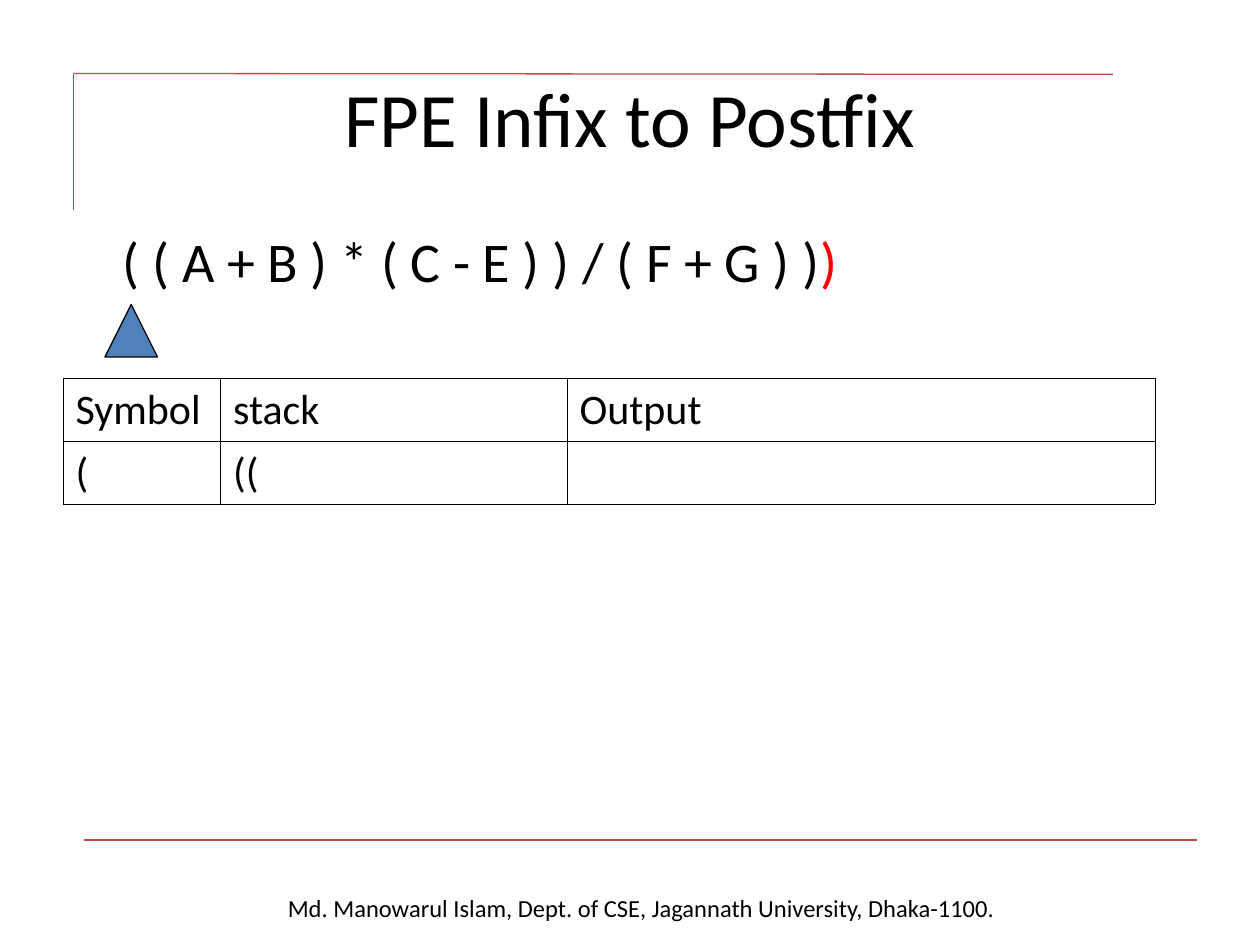
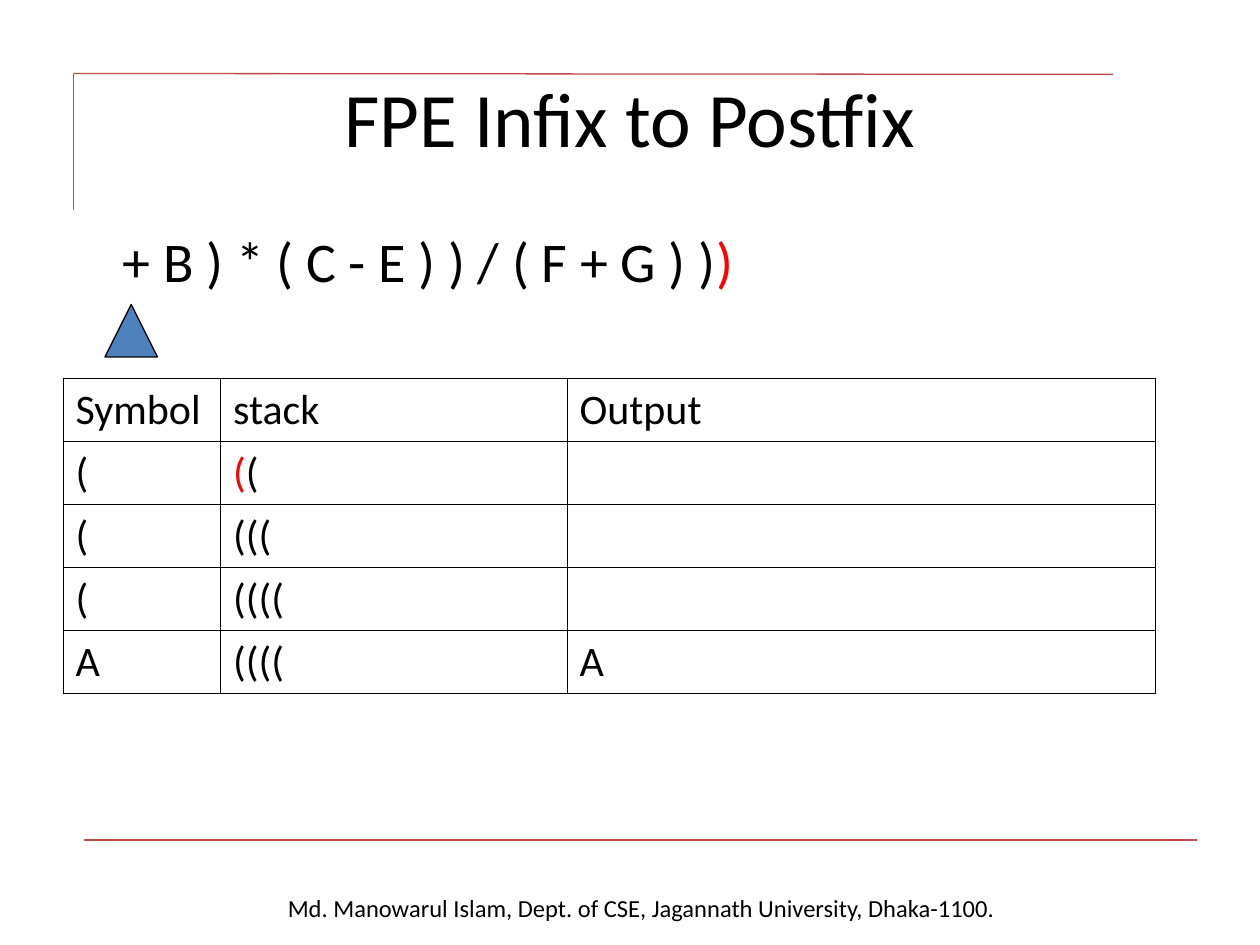
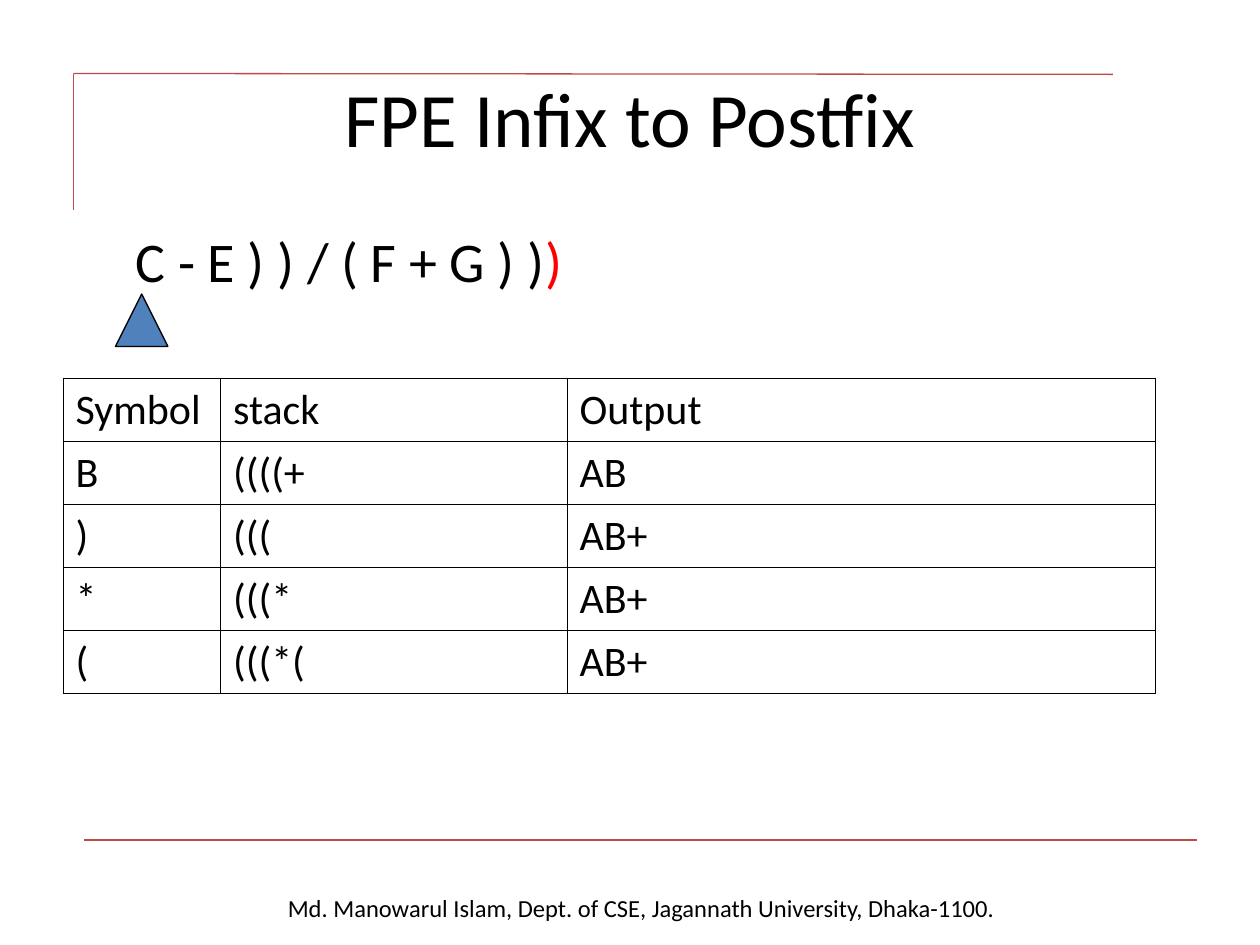
"""Build three slides that trace an infix to postfix conversion."""
from dataclasses import dataclass

from lxml import etree
from pptx import Presentation
from pptx.dml.color import RGBColor
from pptx.enum.shapes import MSO_CONNECTOR, MSO_SHAPE
from pptx.enum.text import MSO_ANCHOR, MSO_AUTO_SIZE, PP_ALIGN
from pptx.oxml.ns import qn
from pptx.util import Pt

STRAIGHT = MSO_CONNECTOR.STRAIGHT
TRIANGLE = MSO_SHAPE.ISOSCELES_TRIANGLE
MIDDLE, TOP = MSO_ANCHOR.MIDDLE, MSO_ANCHOR.TOP
CENTER = PP_ALIGN.CENTER
GROW = MSO_AUTO_SIZE.SHAPE_TO_FIT_TEXT


@dataclass(frozen=True)
class Theme:
    font: str = "Calibri"
    ink: str = "000000"
    accent: str = "FF0000"
    rule: str = "BE4B48"
    marker: str = "4F81BD"
    title: float = 44
    expression: float = 32
    cell: float = 24
    footer: float = 14
    line: float = 0.75
    border: float = 0.45


THEME = Theme()

TITLE = "FPE Infix to Postfix"
FOOTER = "Md. Manowarul Islam, Dept. of CSE, Jagannath University, Dhaka-1100."
HEADER = ("Symbol", "stack", "Output")
END_MARK = (")", THEME.accent)

STEPS = [
    {
        "expression": "( ( A + B ) * ( C - E ) ) / ( F + G ) )",
        "marker": (60, 174),
        "rows": [("(", "((", "")],
    },
    {
        "expression": "+ B ) * ( C - E ) ) / ( F + G ) )",
        "marker": (60, 174),
        "rows": [
            ("(", [("(", THEME.accent), ("(", THEME.ink)], ""),
            ("(", "(((", ""),
            ("(", "((((", ""),
            ("A", "((((", "A"),
        ],
    },
    {
        "expression": " C - E ) ) / ( F + G ) )",
        "marker": (66, 168),
        "rows": [
            ("B", "((((+", "AB"),
            (")", "(((", "AB+"),
            ("*", "(((*", "AB+"),
            ("(", "(((*(", "AB+"),
        ],
    },
]

SLIDE_SIZE = (720, 540)
TITLE_BOX = (36, 21.6, 648, 90)
BODY_BOX = (36, 126, 648, 356.4)
FOOTER_BOX = (27.5, 507, 678, 24.5)
RULES = [(42, 42.5, 42, 120), (42, 42, 636, 42.5), (48, 480, 684, 480)]
MARKER_SIZE = 30
BODY_INDENT = 27
TABLE_AT = (36, 216)
COLUMNS = (90, 198, 336)
ROW_HEIGHT = 36


def points(values):
    return [Pt(v) for v in values]


def place(shape, box):
    shape.left, shape.top, shape.width, shape.height = points(box)


def add_runs(p, content, size):
    runs = [(content, THEME.ink)] if isinstance(content, str) else content
    for text, color in runs:
        r = p.add_run()
        r.text = text
        r.font.name = THEME.font
        r.font.size = Pt(size)
        r.font.color.rgb = RGBColor.from_string(color)


def add_frame(s):
    for ends in RULES:
        rule = s.shapes.add_connector(STRAIGHT, *points(ends))
        rule.line.color.rgb = RGBColor.from_string(THEME.rule)
        rule.line.width = Pt(THEME.line)
        etree.SubElement(rule._element.spPr, qn("a:effectLst"))
    tf = s.shapes.add_textbox(*points(FOOTER_BOX)).text_frame
    tf.word_wrap = True
    tf.auto_size = GROW
    tf.paragraphs[0].alignment = CENTER
    add_runs(tf.paragraphs[0], FOOTER, THEME.footer)


def fill_title(s):
    title = s.shapes.title
    place(title, TITLE_BOX)
    tf = title.text_frame
    tf.vertical_anchor = MIDDLE
    tf.paragraphs[0].alignment = CENTER
    add_runs(tf.paragraphs[0], TITLE, THEME.title)


def fill_expression(s, expression):
    body = s.placeholders[1]
    place(body, BODY_BOX)
    tf = body.text_frame
    tf.vertical_anchor = TOP
    p = tf.paragraphs[0]
    p.space_before = Pt(8)
    pPr = p._p.get_or_add_pPr()
    pPr.set("marL", str(Pt(BODY_INDENT)))
    pPr.set("indent", "0")
    etree.SubElement(pPr, qn("a:buNone"))
    add_runs(p, [(expression, THEME.ink), END_MARK], THEME.expression)


def add_marker(s, corner):
    marker = s.shapes.add_shape(TRIANGLE, *points((*corner, MARKER_SIZE, MARKER_SIZE)))
    marker.shadow.inherit = False
    marker.fill.solid()
    marker.fill.fore_color.rgb = RGBColor.from_string(THEME.marker)
    marker.line.color.rgb = RGBColor.from_string(THEME.ink)
    marker.line.width = Pt(THEME.line)


def set_borders(cell):
    tcPr = cell._tc.get_or_add_tcPr()
    for i, side in enumerate(("lnL", "lnR", "lnT", "lnB")):
        ln = etree.Element(qn(f"a:{side}"), w=str(Pt(THEME.border)))
        fill = etree.SubElement(ln, qn("a:solidFill"))
        etree.SubElement(fill, qn("a:srgbClr"), val=THEME.ink)
        tcPr.insert(i, ln)


def add_trace(s, rows):
    rows = [HEADER, *rows]
    size = (sum(COLUMNS), ROW_HEIGHT * len(rows))
    table = s.shapes.add_table(len(rows), len(COLUMNS), *points(TABLE_AT + size)).table
    table.first_row = table.horz_banding = False
    for column, width in zip(table.columns, COLUMNS):
        column.width = Pt(width)
    for i, row in enumerate(rows):
        for j, content in enumerate(row):
            cell = table.cell(i, j)
            cell.fill.background()
            set_borders(cell)
            if content:
                add_runs(cell.text_frame.paragraphs[0], content, THEME.cell)


def main():
    prs = Presentation()
    prs.slide_width, prs.slide_height = points(SLIDE_SIZE)
    for step in STEPS:
        s = prs.slides.add_slide(prs.slide_layouts[1])
        add_frame(s)
        fill_title(s)
        fill_expression(s, step["expression"])
        add_marker(s, step["marker"])
        add_trace(s, step["rows"])
    prs.save("out.pptx")


if __name__ == "__main__":
    main()
